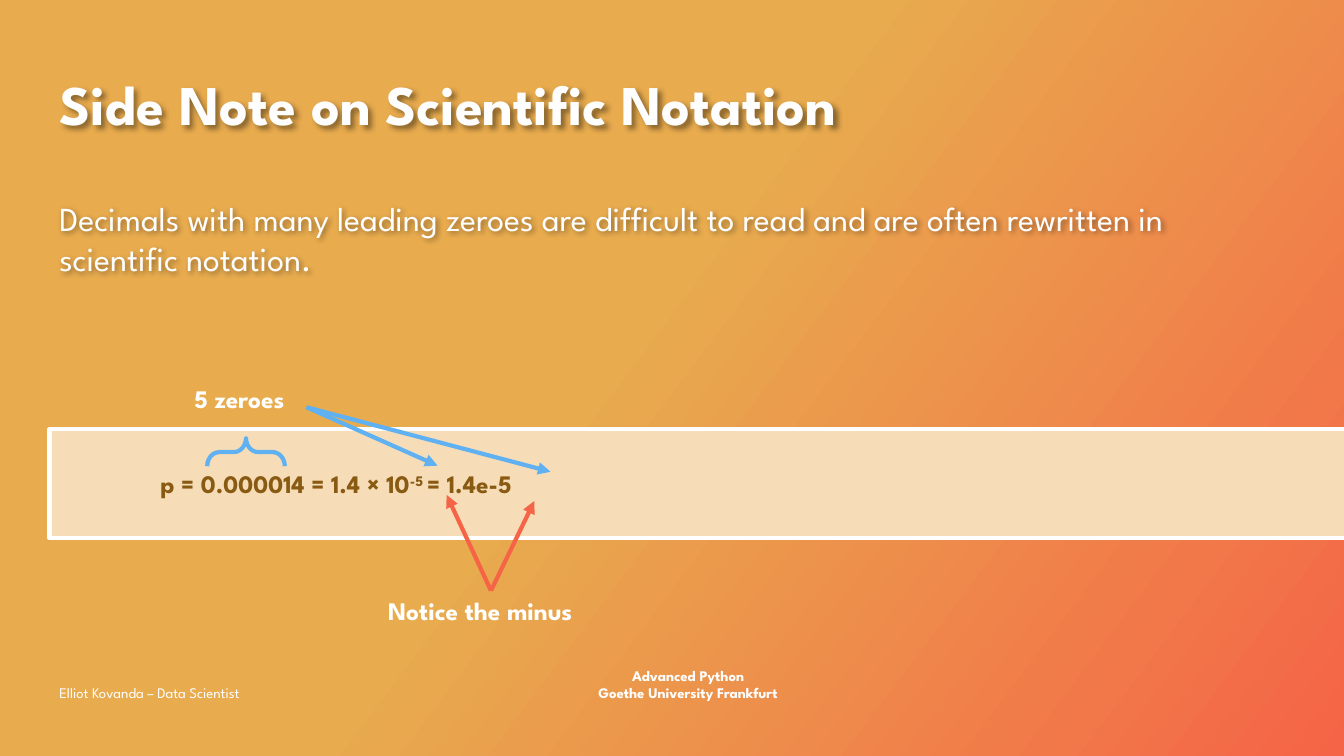
"""Build the slide on scientific notation with its annotated formula."""
from dataclasses import dataclass

from lxml import etree
from pptx import Presentation
from pptx import util as u
from pptx.dml import color
from pptx.enum import shapes, text
from pptx.oxml import ns


@dataclass(frozen=True)
class Theme:
    font: str = "League Spartan"
    white: str = "FFFFFF"
    title: str = "FEFEFE"
    gold: str = "E8AB4E"
    red: str = "F56447"
    blue: str = "60B1F2"
    cream: str = "F6DDB8"
    brown: str = "895A12"
    head: float = 40
    body: float = 24
    note: float = 18
    foot: float = 10.5
    line: float = 3


@dataclass(frozen=True)
class Label:
    words: str
    box: tuple
    size: float
    bold: bool = False
    wrap: bool = True
    low: bool = False
    mid: bool = False
    glow: bool = False


@dataclass(frozen=True)
class Arrow:
    start: tuple
    end: tuple
    tint: str


T = Theme()
ZERO = (3.04, 4.04)
MINUS = (4.87, 5.86)

LABELS = (
    Label("Advanced Python\nGoethe University Frankfurt", (5.6, 6.61, 2.45, 0.4),
          T.foot, bold=True, low=True, mid=True),
    Label("Elliot Kovanda – Data Scientist", (0.49, 6.61, 2.45, 0.4), T.foot, low=True),
    Label("Decimals with many leading zeroes are difficult to read and are often "
          "rewritten in scientific notation.", (0.49, 1.91, 11.86, 4.41), T.body, glow=True),
    Label("5 zeroes", (1.83, 3.75, 1.2, 0.4), T.note, bold=True, wrap=False),
    Label("Notice the minus", (3.75, 5.86, 2.25, 0.4), T.note, bold=True, wrap=False),
)
ARROWS = (
    Arrow(ZERO, (4.34, 4.62), T.blue),
    Arrow(ZERO, (5.46, 4.68), T.blue),
    Arrow(MINUS, (4.43, 4.91), T.red),
    Arrow(MINUS, (5.3, 4.97), T.red),
)


def rgb(code: str) -> color.RGBColor:
    return color.RGBColor.from_string(code)


def inch(nums: tuple) -> list:
    return [u.Inches(n) for n in nums]


def write(frame, words: str, *, size: float, tint: str = T.white, bold: bool = False,
          mid: bool = False, wrap: bool = True, anchor=text.MSO_ANCHOR.TOP) -> None:
    """Fill a frame; carets enclose superscripts and newlines break lines."""
    frame.word_wrap = wrap
    frame.auto_size = text.MSO_AUTO_SIZE.NONE
    frame.vertical_anchor = anchor
    para = frame.paragraphs[0]
    para.alignment = text.PP_ALIGN.CENTER if mid else text.PP_ALIGN.LEFT
    para.space_before = u.Pt(0)
    para.line_spacing = 1.0
    for row, line in enumerate(words.split("\n")):
        if row:
            para.add_line_break()
        for num, part in enumerate(line.split("^")):
            run = para.add_run()
            run.text = part
            run.font.name, run.font.size, run.font.bold = T.font, u.Pt(size), bold
            run.font.color.rgb = rgb(tint)
            if num % 2:
                run._r.get_or_add_rPr().set("baseline", "30000")


def shade(shape) -> None:
    """Cast a soft shadow below the text of an unfilled shape."""
    shape.fill.background()
    shape.shadow.inherit = False
    glow = shape._element.spPr.find(ns.qn("a:effectLst"))
    cast = etree.SubElement(glow, ns.qn("a:outerShdw"), blurRad="50800", dist="38100",
                            dir="2700000", algn="tl", rotWithShape="0")
    tone = etree.SubElement(cast, ns.qn("a:srgbClr"), val="000000")
    etree.SubElement(tone, ns.qn("a:alpha"), val="40000")


def stroke(line, tint: str) -> None:
    line.color.rgb = rgb(tint)
    line.width = u.Pt(T.line)


def paint(slide) -> None:
    fill = slide.background.fill
    fill.gradient()
    fill.gradient_angle = 323
    for stop, spot, tint in zip(fill.gradient_stops, (0.46, 1), (T.gold, T.red)):
        stop.position = spot
        stop.color.rgb = rgb(tint)


def title(slide) -> None:
    shape = slide.shapes.title
    shape.left, shape.top, shape.width, shape.height = inch((0.49, 0.49, 11.56, 1.06))
    write(shape.text_frame, "Side Note on Scientific Notation", size=T.head,
          tint=T.title, bold=True, anchor=text.MSO_ANCHOR.MIDDLE)
    shade(shape)


def label(slide, item: Label) -> None:
    box = slide.shapes.add_textbox(*inch(item.box))
    anchor = text.MSO_ANCHOR.BOTTOM if item.low else text.MSO_ANCHOR.TOP
    write(box.text_frame, item.words, size=item.size, bold=item.bold,
          mid=item.mid, wrap=item.wrap, anchor=anchor)
    if item.glow:
        shade(box)


def band(slide) -> None:
    shape = slide.shapes.add_shape(shapes.MSO_SHAPE.SNIP_1_RECTANGLE,
                                   *inch((0.49, 4.26, 12.99, 1.08)))
    shape.adjustments[0] = 0
    shape.shadow.inherit = False
    shape.fill.solid()
    shape.fill.fore_color.rgb = rgb(T.cream)
    stroke(shape.line, T.white)
    shape.text_frame.margin_left = u.Inches(1.1)
    write(shape.text_frame, "p = 0.000014 = 1.4 × 10^-5 ^= 1.4e-5", size=T.note,
          tint=T.brown, bold=True, anchor=text.MSO_ANCHOR.MIDDLE)


def brace(slide) -> None:
    shape = slide.shapes.add_shape(shapes.MSO_SHAPE.RIGHT_BRACE,
                                   *inch((2.3, 4.1, 0.28, 0.77)))
    shape.rotation = 270
    shape.adjustments[0] = 0.43
    shape.shadow.inherit = False
    shape.fill.background()
    stroke(shape.line, T.blue)


def arrow(slide, item: Arrow) -> None:
    line = slide.shapes.add_connector(shapes.MSO_CONNECTOR.STRAIGHT,
                                      *inch(item.start + item.end))
    stroke(line.line, item.tint)
    props = line._element.spPr
    etree.SubElement(props.find(ns.qn("a:ln")), ns.qn("a:tailEnd"), type="triangle")
    etree.SubElement(props, ns.qn("a:effectLst"))


def main() -> None:
    deck = Presentation()
    deck.slide_width, deck.slide_height = inch((13.33, 7.5))
    slide = deck.slides.add_slide(deck.slide_layouts[5])
    paint(slide)
    title(slide)
    band(slide)
    brace(slide)
    for item in LABELS:
        label(slide, item)
    for item in ARROWS:
        arrow(slide, item)
    deck.save("out.pptx")


if __name__ == "__main__":
    main()
